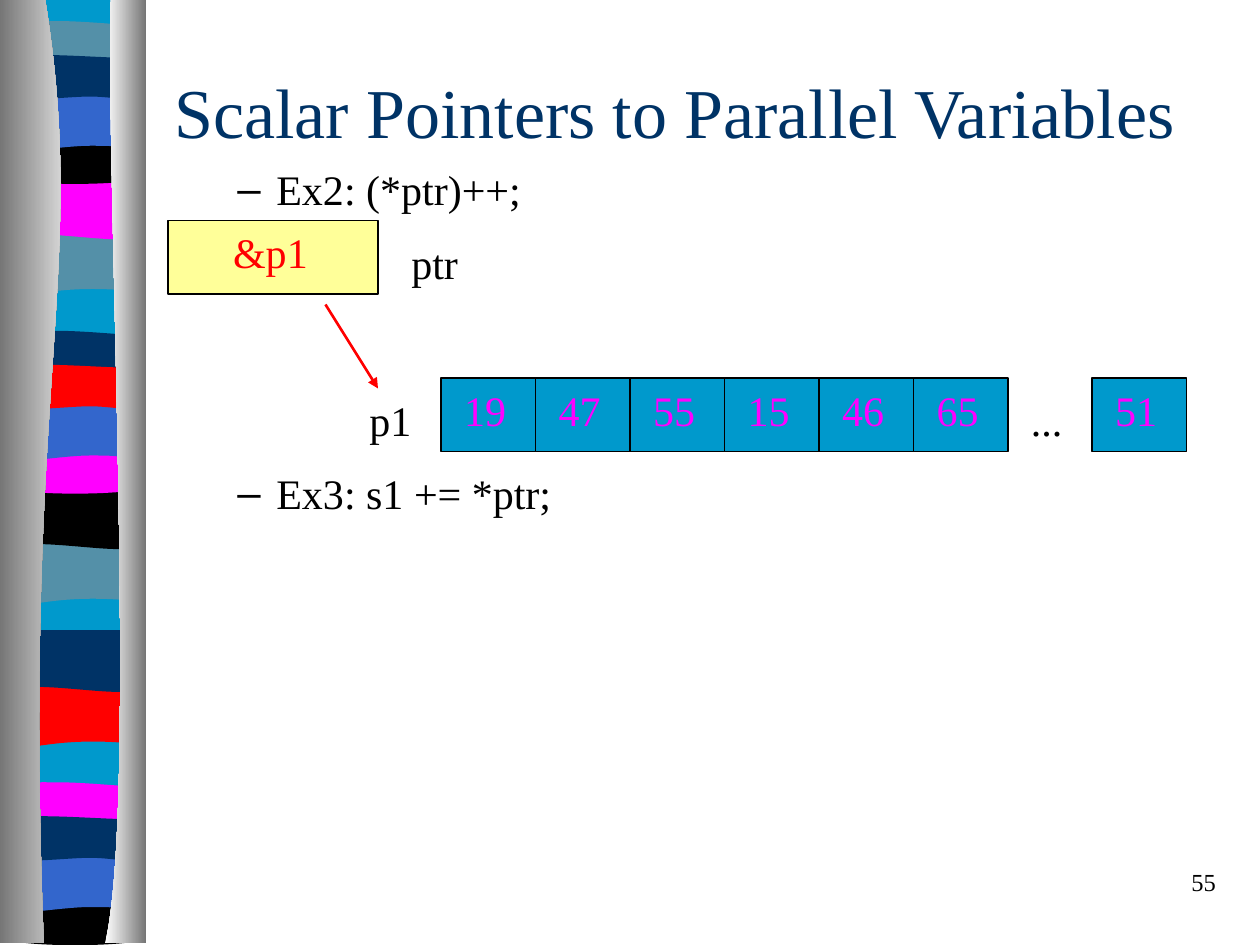
from dataclasses import dataclass
from lxml import etree
from pptx import Presentation
from pptx.dml.color import RGBColor
from pptx.enum.shapes import MSO_CONNECTOR, MSO_SHAPE
from pptx.enum.text import MSO_ANCHOR, MSO_AUTO_SIZE, PP_ALIGN
from pptx.oxml.ns import qn
from pptx.util import Inches, Pt

RECT = MSO_SHAPE.RECTANGLE
LINE = MSO_CONNECTOR.STRAIGHT
TOP, MID = MSO_ANCHOR.TOP, MSO_ANCHOR.MIDDLE
LEFT, RIGHT = PP_ALIGN.LEFT, PP_ALIGN.RIGHT
FIXED = MSO_AUTO_SIZE.NONE
COLS, ROWS = 120, 90
UNIT = Inches(10) // COLS


@dataclass(frozen=True)
class Theme:
    font: str = "Times New Roman"
    head: int = 40
    text: int = 24
    note: int = 14
    ink: str = "000000"
    navy: str = "003366"
    sky: str = "0099CC"
    blue: str = "3366CC"
    slate: str = "5490A8"
    pink: str = "FF00FF"
    red: str = "FF0000"
    cream: str = "FFFF99"
    dark: str = "767676"
    white: str = "FFFFFF"


T = Theme()
DIP = (0.83, 1.17, 0.17, 1.17, 0, 1)
WAVES = {
    "sway": (22.2, 5.6, [(1, 0), (1, 1), (0.31, 0.83, 0.17, 1.17, 0, 1), (0, 0)]),
    "roll": (16.9, 5.6, [(1, 0), (1, 1), (0.83, 1.17, 0.31, 0.87, 0, 1), (0, 0)]),
    "crest": (2.5, 2.9, [(1, 0), (1, 1), DIP, (0, 0),
                         (0.06, -0.2, 0.21, -0.17, 0.38, -0.17),
                         (0.55, -0.17, 0.87, -0.04, 1, 0)]),
    "bowl": (13, 4, [(1, 0), (1, 1), DIP, (0, 0), (0.61, 0.16, 0.79, 0, 1, 0)]),
    "arch": (8.9, 5.6, [(1, 0), (1, 1), (0.84, 0.89, 0.78, 0.89, 0.61, 0.89),
                        (0.44, 0.89, 0.15, 1, 0, 1), (0, 0)]),
    "swell": (5.5, 3.7, [(1, 0), (1, 1), (0.94, 1.16, 0.78, 1, 0.61, 1),
                         (0.44, 1, 0.1, 1.16, 0, 1), (0, 0),
                         (0.14, -0.16, 0.68, 0, 0.84, 0)]),
}
BANDS = [
    (0, {"sway": T.slate, "roll": T.pink, "crest": T.slate,
         "bowl": T.ink, "arch": T.blue, "swell": T.navy}),
    (29.5, {"sway": T.slate, "roll": T.ink, "crest": T.navy,
            "bowl": T.pink, "arch": T.blue, "swell": T.red}),
    (43.1, {"sway": T.red, "roll": T.navy}),
    (72.5, {"crest": T.pink, "bowl": T.ink, "arch": T.blue, "swell": T.navy}),
]
EDGES = [
    ([(0.31, 0), (0.61, 0.29, 0.15, 0.4, 0.3, 1), (0, 1), (0, 0)], T.dark, T.white),
    ([(0.76, 0), (0.72, 0.17, 0.95, 0.86, 0.72, 1), (1, 1), (1, 0)], T.white, T.dark),
]


def rgb(tone):
    return RGBColor.from_string(tone)


def grid(*cells):
    return [round(n * UNIT) for n in cells]


def trace(group, box, steps):
    left, top, wide, high = box
    spots = [[tuple(grid(left + x * wide, top + y * high))
              for x, y in zip(step[::2], step[1::2])] for step in steps]
    pen = group.shapes.build_freeform(*spots[0][0])
    pen.add_line_segments([dot for step in spots[1:] for dot in step], close=True)
    shape = pen.convert_to_shape()
    legs = iter(list(shape._element.iter(qn("a:lnTo"))))
    for step in spots[1:]:
        leg = next(legs)
        if len(step) == 3:
            curve = etree.Element(qn("a:cubicBezTo"))
            leg.addprevious(curve)
            for part in (leg, next(legs), next(legs)):
                curve.append(part[0])
                part.getparent().remove(part)
    shape.shadow.inherit = False
    shape.line.fill.background()
    return shape


def paint(shape, tone):
    shape.fill.solid()
    shape.fill.fore_color.rgb = rgb(tone)


def ribbon(slide, box):
    left, top, wide, high = box
    group = slide.shapes.add_group_shape()
    inner, span = left + 0.05 * wide, 0.93 * wide
    paint(trace(group, (inner, top, span, high), [(1, 0), (1, 1), (0, 1), (0, 0)]), T.sky)
    for shift, tones in BANDS:
        for name, tone in tones.items():
            start, tall, steps = WAVES[name]
            paint(trace(group, (inner, top + start + shift, span, tall), steps), tone)
    for steps, first, last in EDGES:
        fill = trace(group, box, steps).fill
        fill.gradient()
        fill.gradient_angle = 0
        for stop, tone in zip(fill.gradient_stops, (first, last)):
            stop.color.rgb = rgb(tone)
    for mark, node in enumerate(group._element.iter(qn("p:cNvPr")), 100):
        node.set("id", str(mark))
    slide.slide_layout.slide_master.shapes._spTree.insert(2, group._element)


def write(para, text, size, tone):
    run = para.add_run()
    run.text = text
    run.font.name = T.font
    run.font.size = Pt(size)
    run.font.color.rgb = rgb(tone)


def place(shape, box):
    shape.left, shape.top, shape.width, shape.height = grid(*box)


def frame(shape, anchor=TOP):
    text = shape.text_frame
    text.word_wrap = True
    text.auto_size = FIXED
    text.vertical_anchor = anchor
    return text


def title(slide, box, text):
    shape = slide.shapes.title
    place(shape, box)
    para = frame(shape, MID).paragraphs[0]
    para.alignment = LEFT
    write(para, text, T.head, T.navy)


def body(slide, box, items):
    shape = slide.placeholders[1]
    place(shape, box)
    text = frame(shape)
    for count, (words, gap) in enumerate(items):
        para = text.add_paragraph() if count else text.paragraphs[0]
        para.level = 1
        props = para._p.get_or_add_pPr()
        props.set("marL", str(Inches(0.81)))
        props.set("indent", str(-Inches(0.31)))
        tint = etree.SubElement(props, qn("a:buClr"))
        etree.SubElement(tint, qn("a:srgbClr"), val=T.ink)
        etree.SubElement(props, qn("a:buChar"), char="–")
        para.space_before = Pt(gap)
        write(para, words, T.text, T.ink)


def label(slide, box, text, size=T.text, align=LEFT):
    shape = slide.shapes.add_textbox(*grid(*box))
    para = frame(shape).paragraphs[0]
    para.alignment = align
    write(para, text, size, T.ink)


def cell(slide, box, text, fill, tone, inset):
    shape = slide.shapes.add_shape(RECT, *grid(*box))
    shape.shadow.inherit = False
    paint(shape, fill)
    shape.line.color.rgb = rgb(T.ink)
    shape.line.width = Pt(0.75)
    area = frame(shape)
    area.margin_left, area.margin_right = *grid(inset), 0
    area.paragraphs[0].alignment = LEFT
    write(area.paragraphs[0], text, T.text, tone)


def arrow(slide, ends):
    line = slide.shapes.add_connector(LINE, *grid(*ends))
    line.line.color.rgb = rgb(T.red)
    line.line.width = Pt(1.5)
    etree.SubElement(line.line._get_or_add_ln(), qn("a:tailEnd"), type="triangle")
    etree.SubElement(line._element.spPr, qn("a:effectLst"))


def memory(slide, box):
    left, top, wide, high = box
    cell(slide, (left, top, 20, 7), "&p1", T.cream, T.red, 6.2)
    label(slide, (left + 22, top + 1, 7, 6), "ptr")
    arrow(slide, (left + 15, top + 8, left + 20, top + 16))
    base, step = top + high - 7, 9
    label(slide, (left + 18, base + 1, 7, 6), "p1")
    row = [(left + 26 + step * n, text)
           for n, text in enumerate(("19", "47", "55", "15", "46", "65"))]
    for spot, text in row + [(left + wide - step, "51")]:
        cell(slide, (spot, base, step, 7), text, T.sky, T.pink, 2.2)
    label(slide, (left + wide - 16, base + 1, 7, 6), "...")


def main():
    deck = Presentation()
    deck.slide_width, deck.slide_height = grid(COLS, ROWS)
    slide = deck.slides.add_slide(deck.slide_layouts[1])
    slide.background.fill.solid()
    slide.background.fill.fore_color.rgb = rgb(T.white)
    ribbon(slide, (0, 0, 13.9, ROWS - 0.2))
    title(slide, (15.4, 6, 102, 9), "Scalar Pointers to Parallel Variables")
    body(slide, (15.4, 15, 102, 65), [("Ex2: (*ptr)++;", 0), ("Ex3: s1 += *ptr;", 145)])
    memory(slide, (16, 21, 97, 22))
    label(slide, (92, 82, 25, 6), "55", T.note, RIGHT)
    deck.save("out.pptx")


if __name__ == "__main__":
    main()
